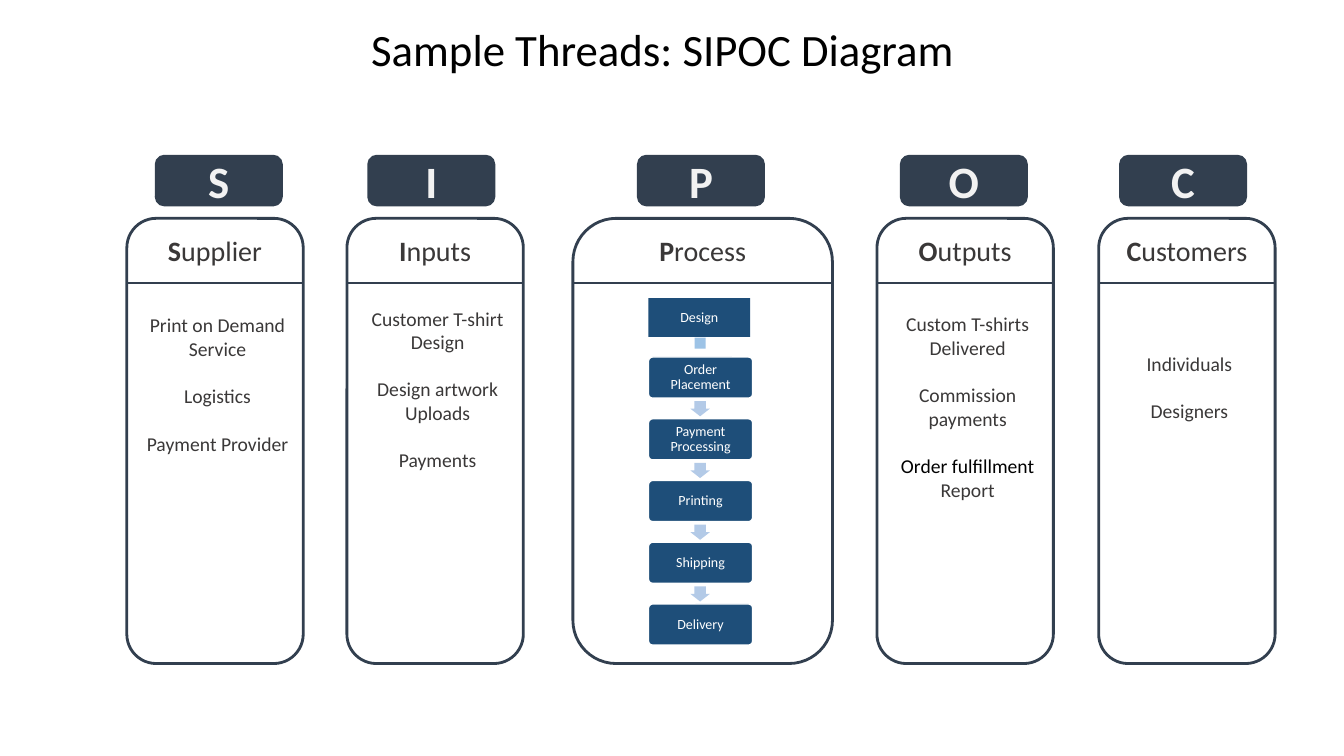
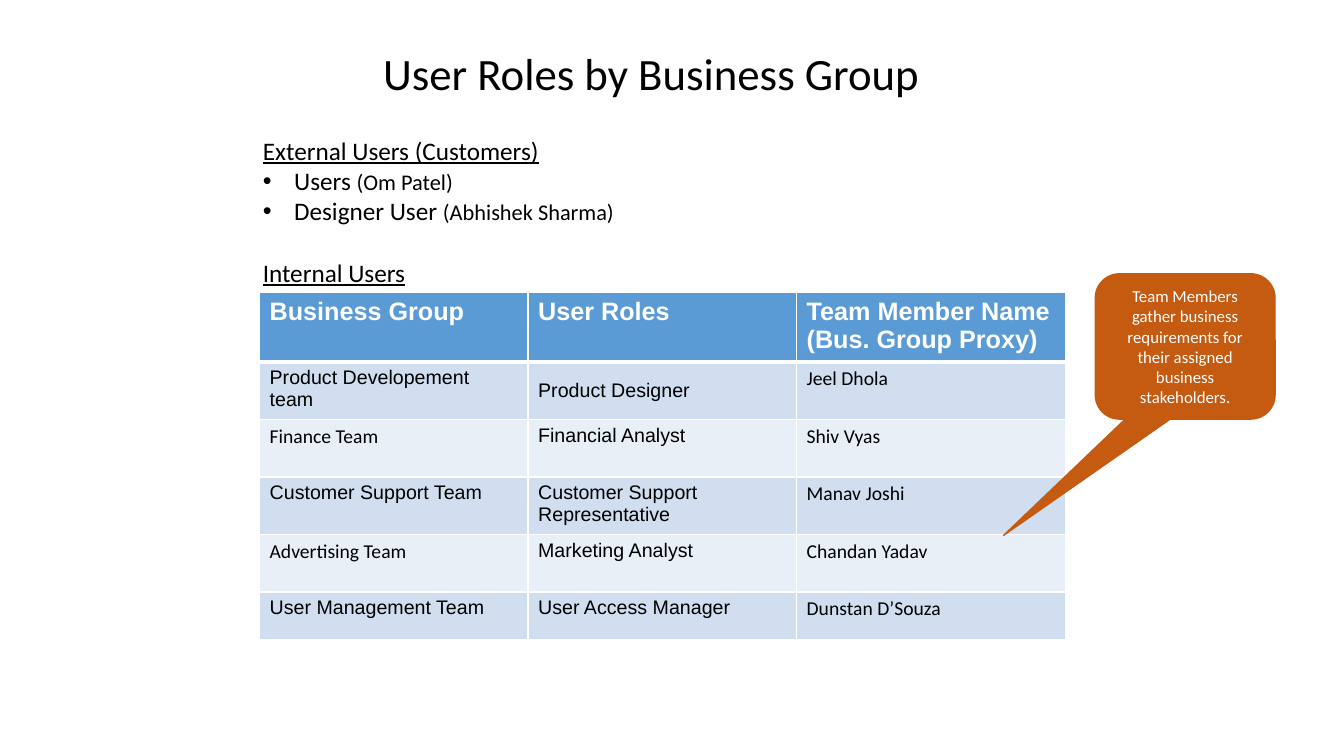
from lxml import etree
from pptx import Presentation
from pptx.dml.color import RGBColor
from pptx.enum.shapes import MSO_CONNECTOR, MSO_SHAPE
from pptx.enum.text import MSO_ANCHOR, MSO_AUTO_SIZE, PP_ALIGN
from pptx.oxml.ns import qn
from pptx.util import Inches, Pt

RECT, ROUND = MSO_SHAPE.RECTANGLE, MSO_SHAPE.ROUNDED_RECTANGLE
DOWN, CALLOUT = MSO_SHAPE.DOWN_ARROW, MSO_SHAPE.ROUNDED_RECTANGULAR_CALLOUT
LEFT, CENTER = PP_ALIGN.LEFT, PP_ALIGN.CENTER
TOP, MIDDLE, BOTTOM = MSO_ANCHOR.TOP, MSO_ANCHOR.MIDDLE, MSO_ANCHOR.BOTTOM
NO_FIT = MSO_AUTO_SIZE.NONE
STRAIGHT = MSO_CONNECTOR.STRAIGHT

rgb = RGBColor.from_string
BLACK, WHITE, NAVY, GREY = "000000", "FFFFFF", "323F4F", "3A3838"
BLUE, STEP_BLUE, ARROW_BLUE, LINK_BLUE = "5B9BD5", "1E4E79", "B3CAE7", "9DC3E6"
BANDS = "D0DEEF", "E9EFF7"
ORANGE = "C55A11"

# The slide is a grid of 160 columns by 90 rows of square cells
U = Inches(40 / 3) / 160
prs = Presentation()
prs.slide_width, prs.slide_height = int(160 * U), int(90 * U)


def write(tf, paras, size, color=BLACK, align=LEFT, anchor=TOP, spacing=1.0):
    """Fill a text frame; each paragraph is a list of (text, format) runs."""
    tf.word_wrap, tf.auto_size, tf.vertical_anchor = True, NO_FIT, anchor
    for i, runs in enumerate(paras):
        p = tf.paragraphs[0] if i == 0 else tf.add_paragraph()
        p.alignment, p.line_spacing, p.space_before = align, spacing, Pt(0)
        for text, fmt in runs:
            r = p.add_run()
            r.text = text
            fmt = {"name": "Calibri", "size": Pt(size), "color": color} | fmt
            r.font.color.rgb = rgb(fmt.pop("color"))
            for key, value in fmt.items():
                setattr(r.font, key, value)


def add(s, preset, cells, fill=None, line=None, width=1):
    """Add a preset shape, or a text box when there is no preset."""
    box = [int(v * U) for v in cells]
    if preset is None:
        return s.shapes.add_textbox(*box)
    sp = s.shapes.add_shape(preset, *box)
    sp.shadow.inherit = False
    if fill:
        sp.fill.solid()
        sp.fill.fore_color.rgb = rgb(fill)
    else:
        sp.fill.background()
    if line:
        sp.line.color.rgb = rgb(line)
        sp.line.width = Pt(width)
    else:
        sp.line.fill.background()
    return sp


# Slides and titles: layout, text, cells, alignment, anchor, line spacing
titles = [
    (5, "Sample Threads: SIPOC Diagram", (21.8, 2.6, 114.2, 7), CENTER, BOTTOM, 0.8),
    (1, "User Roles by Business Group", (44.4, 4.9, 66.8, 7.7), LEFT, TOP, 1.0),
]
slides = []
for layout, text, cells, align, anchor, spacing in titles:
    s = prs.slides.add_slide(prs.slide_layouts[layout])
    sp = s.shapes.title
    sp.left, sp.top, sp.width, sp.height = [int(v * U) for v in cells]
    write(sp.text_frame, [[(text, {})]], 32, BLACK, align, anchor, spacing)
    slides.append(s)
sipoc, roles = slides

# SIPOC panels: name, left, width, badge left, list top, list items by line
panels = [
    ("Supplier", 15.1, 21, 18.6, 36.7,
     [["Print on Demand Service"], ["Logistics"], ["Payment Provider"]]),
    ("Inputs", 41.3, 21, 43.9, 35.9,
     [["Customer T-shirt", "Design"], ["Design artwork", "Uploads"], ["Payments"]]),
    ("Process", 68.2, 30.9, 76, 0, []),
    ("Outputs", 104.4, 21, 107.3, 36.6,
     [["Custom T-shirts", "Delivered"], ["Commission", "payments"],
      ["Order fulfillment", "Report"]]),
    ("Customers", 130.8, 21, 133.4, 41.3, [["Individuals"], ["Designers"]]),
]
for name, left, width, badge_left, list_top, items in panels:
    add(sipoc, ROUND, (left, 26, width, 53), line=NAVY, width=2)

    # Rule under the panel heading
    ends = [int(v * U) for v in (left, 33.7, left + width, 33.7)]
    rule = sipoc.shapes.add_connector(STRAIGHT, *ends)
    rule.line.color.rgb = rgb(NAVY)
    rule.line.width = Pt(2)
    etree.SubElement(rule._element.spPr, qn("a:effectLst"))

    heading = add(sipoc, None, (left, 27.2, width, 5.3))
    write(heading.text_frame, [[(name[0], {"bold": True}), (name[1:], {})]],
          20, GREY, CENTER)
    badge = add(sipoc, ROUND, (badge_left, 18.6, 14.9, 5.8), NAVY, NAVY, 2)
    write(badge.text_frame, [[(name[0], {"bold": True})]],
          32, "F2F2F2", CENTER, MIDDLE)

    if items:
        tf = add(sipoc, None, (left + 0.3, list_top, width, 30)).text_frame
        lines = [(text, i > 0 and j == 0)
                 for i, item in enumerate(items) for j, text in enumerate(item)]
        black = {"Order fulfillment": {"color": BLACK}}
        write(tf, [[(text, black.get(text, {}))] for text, _ in lines],
              14, GREY, CENTER)
        for p, (_, starts_item) in zip(tf.paragraphs, lines):
            p.space_before = Pt(17 if starts_item else 0)

# Process steps, with a square link after the first and arrows after the others
steps = ["Design", "Order Placement", "Payment Processing",
         "Printing", "Shipping", "Delivery"]
for i, step in enumerate(steps):
    top = 42.5 + 7.35 * (i - 1)
    if i == 0:
        sp = add(sipoc, RECT, (77.2, 35.5, 12.1, 4.6), STEP_BLUE)
        add(sipoc, RECT, (82.7, 40.2, 1.3, 1.3), LINK_BLUE)
    else:
        sp = add(sipoc, ROUND, (77.2, top, 12.4, 4.9), STEP_BLUE, WHITE)
        sp.adjustments[0] = 0.1
        if i < len(steps) - 1:
            arrow = add(sipoc, DOWN, (82.2, top + 5.26, 2.3, 1.8), ARROW_BLUE)
            arrow.adjustments[0] = 0.6
    tf = sp.text_frame
    for side in ("left", "right", "top", "bottom"):
        setattr(tf, "margin_" + side, Inches(0.04))
    write(tf, [[(step, {})]], 10, WHITE, CENTER, MIDDLE, 0.9)

# External users
body = roles.placeholders[1]
body.left, body.top, body.width, body.height = [
    int(v * U) for v in (30.1, 15.5, 97.4, 12.1)]
small = {"size": Pt(16)}
write(body.text_frame, [
    [("External Users (Customers)", {"underline": True})],
    [("Users ", {}), ("(Om Patel)", small)],
    [("Designer User ", {}), ("(Abhishek Sharma)", small)],
], 18)
for i, p in enumerate(body.text_frame.paragraphs):
    pPr = p._p.get_or_add_pPr()
    indent = Inches(0.31) if i else 0
    pPr.set("marL", str(indent))
    pPr.set("indent", str(-indent))
    if i:
        etree.SubElement(pPr, qn("a:buFont"), typeface="Arial")
        etree.SubElement(pPr, qn("a:buChar"), char="•")
    else:
        etree.SubElement(pPr, qn("a:buNone"))

# Internal users
label = add(roles, None, (30.1, 30, 19.6, 4.8))
write(label.text_frame, [[("Internal Users", {"underline": True})]], 18)

rows = [
    ("Business Group", "User Roles", "Team Member Name\n(Bus. Group Proxy)"),
    ("Product Developement team", "Product Designer", "Jeel Dhola"),
    ("Finance Team", "Financial Analyst", "Shiv Vyas"),
    ("Customer Support Team", "Customer Support Representative", "Manav Joshi"),
    ("Advertising Team", "Marketing Analyst", "Chandan Yadav"),
    ("User Management Team", "User Access Manager", "Dunstan D’Souza"),
]
heights = [8.3] + [6.85] * 4 + [5.7]
cells = [int(v * U) for v in (30.9, 34.8, 95.9, sum(heights))]
table = roles.shapes.add_table(len(rows), 3, *cells).table
for col in table.columns:
    col.width = int(95.9 * U / 3)
for i, (row, height) in enumerate(zip(rows, heights)):
    table.rows[i].height = int(height * U)
    for j, text in enumerate(row):
        cell = table.cell(i, j)
        tcPr = cell._tc.get_or_add_tcPr()
        for side in "LRTB":
            thick = (i, side) in ((0, "B"), (1, "T"))
            ln = etree.SubElement(tcPr, qn("a:ln" + side), w=str(Pt(3 if thick else 1)))
            fill = etree.SubElement(ln, qn("a:solidFill"))
            etree.SubElement(fill, qn("a:srgbClr"), val=WHITE)
        cell.fill.solid()
        cell.fill.fore_color.rgb = rgb(BANDS[(i - 1) % 2] if i else BLUE)
        calibri = i and (j == 2 or text in ("Finance Team", "Advertising Team"))
        fmt = {"name": "Calibri" if calibri else "Arial", "bold": i == 0}
        write(cell.text_frame, [[(t, fmt)] for t in text.split("\n")],
              14 if i else 18, BLACK if i else WHITE)
        cell.vertical_anchor = MIDDLE if text == "Product Designer" else TOP

# Callout pointing at the team members
note = add(roles, CALLOUT, (130.4, 32.6, 21.4, 17.3), ORANGE, ORANGE)
note.adjustments[0], note.adjustments[1] = -1.01, 1.3
write(note.text_frame, [[("Team Members gather business requirements for their "
                          "assigned business stakeholders.", {})]],
      12, WHITE, CENTER, MIDDLE)

prs.save("out.pptx")
